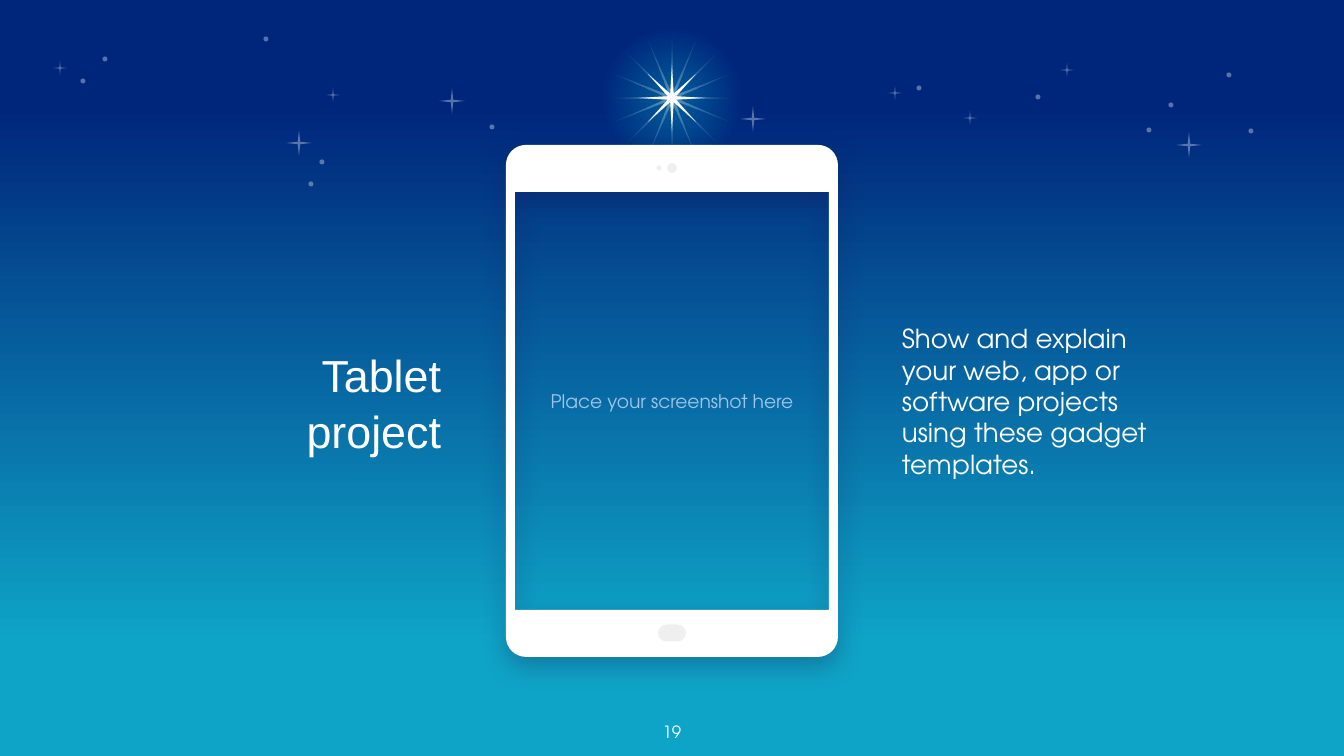
from dataclasses import dataclass
from math import cos, pi, sin

from lxml.etree import SubElement
from pptx import Presentation
from pptx.dml.color import RGBColor
from pptx.enum.shapes import MSO_SHAPE
from pptx.enum.text import MSO_ANCHOR, PP_ALIGN
from pptx.oxml.ns import qn
from pptx.shapes.autoshape import Shape
from pptx.shapes.shapetree import GroupShapes, SlideShapes
from pptx.slide import Slide
from pptx.util import Pt

PX = 914400 / 134.4
WIDTH, HEIGHT = 1344, 756
WHITE, LIGHT_GREY, SKY = "FFFFFF", "EFEFEF", "9FC5E8"
ROUND_FONT = "TeX Gyre Adventor"
FAINT = 35

Canvas = SlideShapes | GroupShapes
Point = tuple[float, float]


@dataclass
class Stop:
    position: int
    hex_code: str
    opacity: int = 100


@dataclass
class Sparkle:
    x: int
    y: int
    size: int


@dataclass
class Label:
    text: str
    left: int
    top: int
    width: int
    height: int
    size: int
    hex_code: str = WHITE
    font: str = ROUND_FONT
    align: PP_ALIGN = PP_ALIGN.LEFT
    anchor: MSO_ANCHOR = MSO_ANCHOR.MIDDLE
    inset: int = 0
    space_before: int = 0
    line_spacing: float = 1.0


SPARKLES = [
    Sparkle(1189, 145, 26), Sparkle(753, 119, 26), Sparkle(299, 143, 26),
    Sparkle(452, 101, 26), Sparkle(60, 68, 14), Sparkle(1067, 70, 14),
    Sparkle(895, 93, 14), Sparkle(970, 118, 14), Sparkle(333, 95, 14),
]
DOTS = [
    (1251, 131), (775, 148), (1149, 130), (1171, 105), (1229, 75),
    (1038, 97), (919, 88), (322, 162), (311, 184), (492, 127),
    (266, 39), (105, 59), (83, 81),
]
SKY_STOPS = [Stop(0, "00267B"), Stop(14, "00267B"), Stop(85, "0EA4C7"), Stop(100, "0EA4C7")]
GLOW_STOPS = [Stop(0, "00FFFF", 27), Stop(68, "00FFFF", 0), Stop(100, "00FFFF", 0)]
RAY_STOPS = [Stop(0, WHITE, FAINT), Stop(69, WHITE, 0), Stop(100, WHITE, 0)]
LABELS = [
    Label("Tablet\vproject", 206, 133, 235, 536, 24, font="Arial",
          align=PP_ALIGN.RIGHT, space_before=6, line_spacing=1.05),
    Label("Show and explain your web, app or software projects using these gadget templates.",
          902, 133, 245, 536, 14, space_before=6),
]
PAGE_NUMBER = Label("19", 632, 712, 80, 39, 9, align=PP_ALIGN.CENTER,
                    anchor=MSO_ANCHOR.TOP, inset=13)
SCREEN_HINT = Label("Place your screenshot here", 515, 192, 314, 417, 10, SKY,
                    align=PP_ALIGN.CENTER, inset=13)


def emu(pixels: float) -> int:
    return round(pixels * PX)


def colour(hex_code: str) -> RGBColor:
    return RGBColor.from_string(hex_code)


def add_colour(parent, hex_code: str, opacity: int) -> None:
    tint = SubElement(parent, qn("a:srgbClr"), val=hex_code)
    SubElement(tint, qn("a:alpha"), val=str(opacity * 1000))


def set_gradient(fill, element, stops: list[Stop], radial: bool) -> None:
    fill.gradient()
    gradient = element.find(".//" + qn("a:gradFill"))
    for child in list(gradient):
        gradient.remove(child)
    stop_list = SubElement(gradient, qn("a:gsLst"))
    for stop in stops:
        entry = SubElement(stop_list, qn("a:gs"), pos=str(stop.position * 1000))
        add_colour(entry, stop.hex_code, stop.opacity)
    if radial:
        circle = SubElement(gradient, qn("a:path"), path="circle")
        SubElement(circle, qn("a:fillToRect"), l="50000", t="50000", r="50000", b="50000")
    else:
        SubElement(gradient, qn("a:lin"), ang="5400000", scaled="0")


def paint(shape: Shape, hex_code: str, opacity: int = 100) -> Shape:
    shape.shadow.inherit = False
    shape.line.fill.background()
    shape.fill.solid()
    shape.fill.fore_color.rgb = colour(hex_code)
    if opacity < 100:
        tint = shape._element.spPr.find(".//" + qn("a:srgbClr"))
        SubElement(tint, qn("a:alpha"), val=str(opacity * 1000))
    return shape


def add_centred(canvas: Canvas, kind: MSO_SHAPE, x: int, y: int, width: int, height: int,
                hex_code: str, opacity: int = 100) -> Shape:
    shape = canvas.add_shape(kind, emu(x - width / 2), emu(y - height / 2),
                             emu(width), emu(height))
    return paint(shape, hex_code, opacity)


def add_outline(canvas: Canvas, contours: list[list[Point]], hex_code: str,
                opacity: int = 100) -> Shape:
    scaled = [[(emu(x), emu(y)) for x, y in contour] for contour in contours]
    builder = canvas.build_freeform(*scaled[0][0], scale=1.0)
    builder.add_line_segments(scaled[0][1:], close=True)
    for contour in scaled[1:]:
        builder.move_to(*contour[0])
        builder.add_line_segments(contour[1:], close=True)
    return paint(builder.convert_to_shape(), hex_code, opacity)


def add_sparkle(canvas: Canvas, sparkle: Sparkle) -> None:
    tip = sparkle.size / 2
    waist = tip * 0.13
    points = []
    for step in range(8):
        radius = waist if step % 2 else tip
        angle = step * pi / 4
        points.append((sparkle.x + radius * sin(angle), sparkle.y - radius * cos(angle)))
    add_outline(canvas, [points], WHITE, FAINT)


def rounded_corners(left: int, top: int, right: int, bottom: int, radius: int) -> list[Point]:
    centres = [(right - radius, bottom - radius), (left + radius, bottom - radius),
               (left + radius, top + radius), (right - radius, top + radius)]
    return [(x + radius * cos((corner + step / 8) * pi / 2),
             y + radius * sin((corner + step / 8) * pi / 2))
            for corner, (x, y) in enumerate(centres) for step in range(9)]


def add_bright_star(page: Slide) -> None:
    canvas = page.shapes.add_group_shape().shapes
    glow = add_centred(canvas, MSO_SHAPE.OVAL, 672, 98, 145, 145, WHITE)
    set_gradient(glow.fill, glow._element, GLOW_STOPS, True)
    rays = add_centred(canvas, MSO_SHAPE.STAR_16_POINT, 672, 98, 145, 145, WHITE)
    rays.adjustments[0] = 0.055
    set_gradient(rays.fill, rays._element, RAY_STOPS, True)
    core = add_centred(canvas, MSO_SHAPE.STAR_8_POINT, 672, 98, 67, 67, WHITE)
    core.adjustments[0] = 0.067


def add_tablet(page: Slide) -> None:
    canvas = page.shapes.add_group_shape().shapes
    screen = [(829, 192), (829, 610), (515, 610), (515, 192)]
    body = rounded_corners(506, 145, 838, 657, 20)
    frame = add_outline(canvas, [screen, body], WHITE)
    effects = frame._element.spPr.find(qn("a:effectLst"))
    shadow = SubElement(effects, qn("a:outerShdw"), blurRad=str(Pt(13.5)),
                        dist=str(Pt(4.5)), dir="5400000", algn="bl", rotWithShape="0")
    add_colour(shadow, "20124D", 30)
    button = add_centred(canvas, MSO_SHAPE.ROUNDED_RECTANGLE, 672, 633, 28, 17, LIGHT_GREY)
    button.adjustments[0] = 0.5
    for x, size in ((659, 5), (672, 10)):
        add_centred(canvas, MSO_SHAPE.OVAL, x, 168, size, size, LIGHT_GREY)


def add_label(page: Slide, label: Label) -> None:
    box = page.shapes.add_textbox(emu(label.left), emu(label.top),
                                  emu(label.width), emu(label.height))
    frame = box.text_frame
    frame.word_wrap = True
    frame.vertical_anchor = label.anchor
    frame.margin_left = frame.margin_right = emu(label.inset)
    frame.margin_top = frame.margin_bottom = emu(label.inset)
    frame.text = label.text
    paragraph = frame.paragraphs[0]
    paragraph.alignment = label.align
    paragraph.space_before = Pt(label.space_before)
    paragraph.line_spacing = label.line_spacing
    for span in paragraph.runs:
        span.font.name = label.font
        span.font.size = Pt(label.size)
        span.font.color.rgb = colour(label.hex_code)


def main() -> None:
    deck = Presentation()
    deck.slide_width, deck.slide_height = emu(WIDTH), emu(HEIGHT)
    page = deck.slides.add_slide(deck.slide_layouts[6])
    set_gradient(page.background.fill, page._element, SKY_STOPS, False)
    for sparkle in SPARKLES:
        add_sparkle(page.shapes, sparkle)
    for x, y in DOTS:
        add_centred(page.shapes, MSO_SHAPE.OVAL, x, y, 5, 5, WHITE, FAINT)
    add_bright_star(page)
    add_label(page, PAGE_NUMBER)
    add_label(page, SCREEN_HINT)
    add_tablet(page)
    for label in LABELS:
        add_label(page, label)
    deck.save("out.pptx")


if __name__ == "__main__":
    main()
